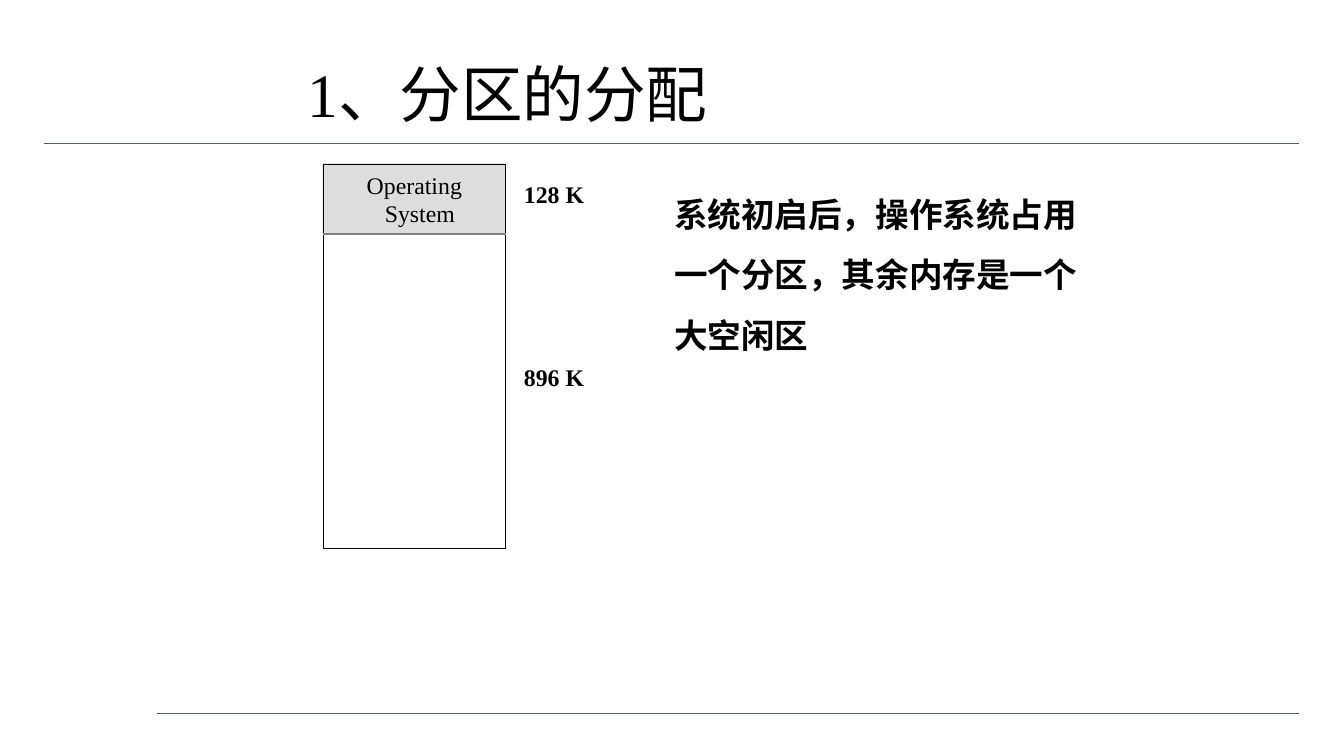
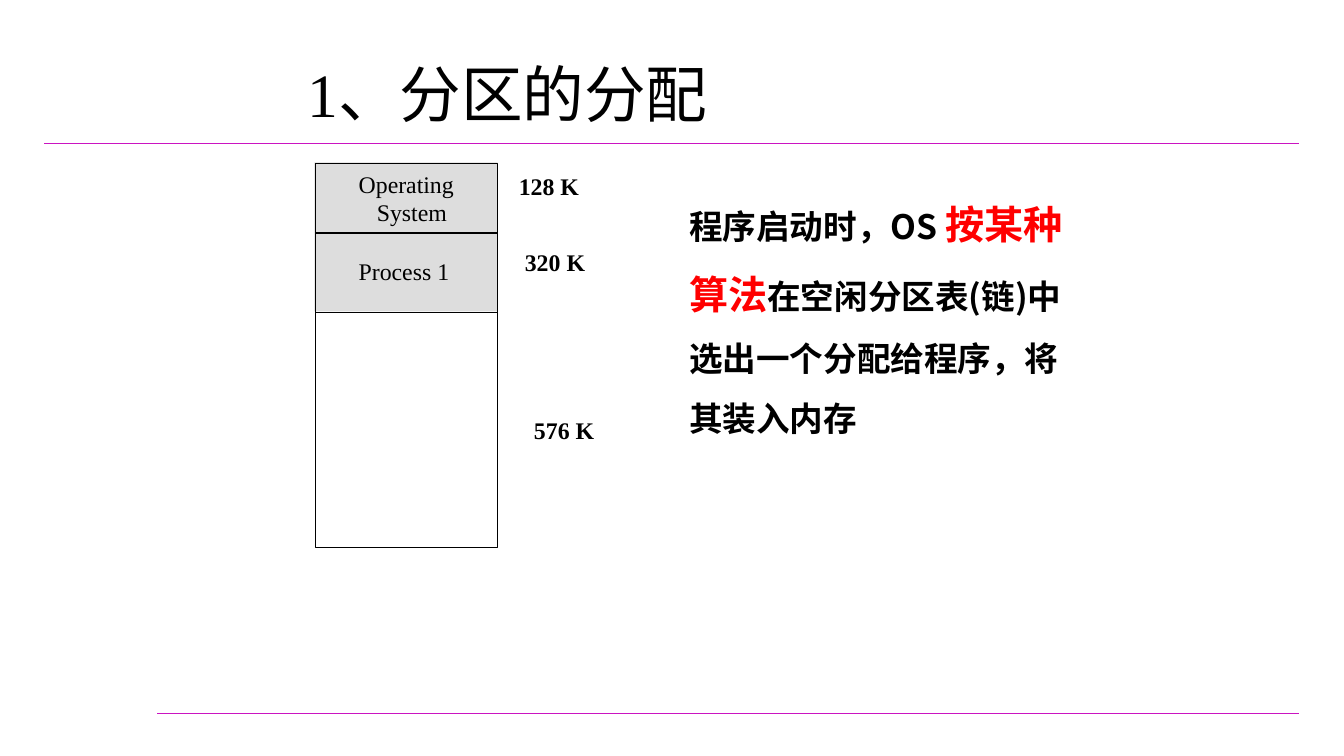
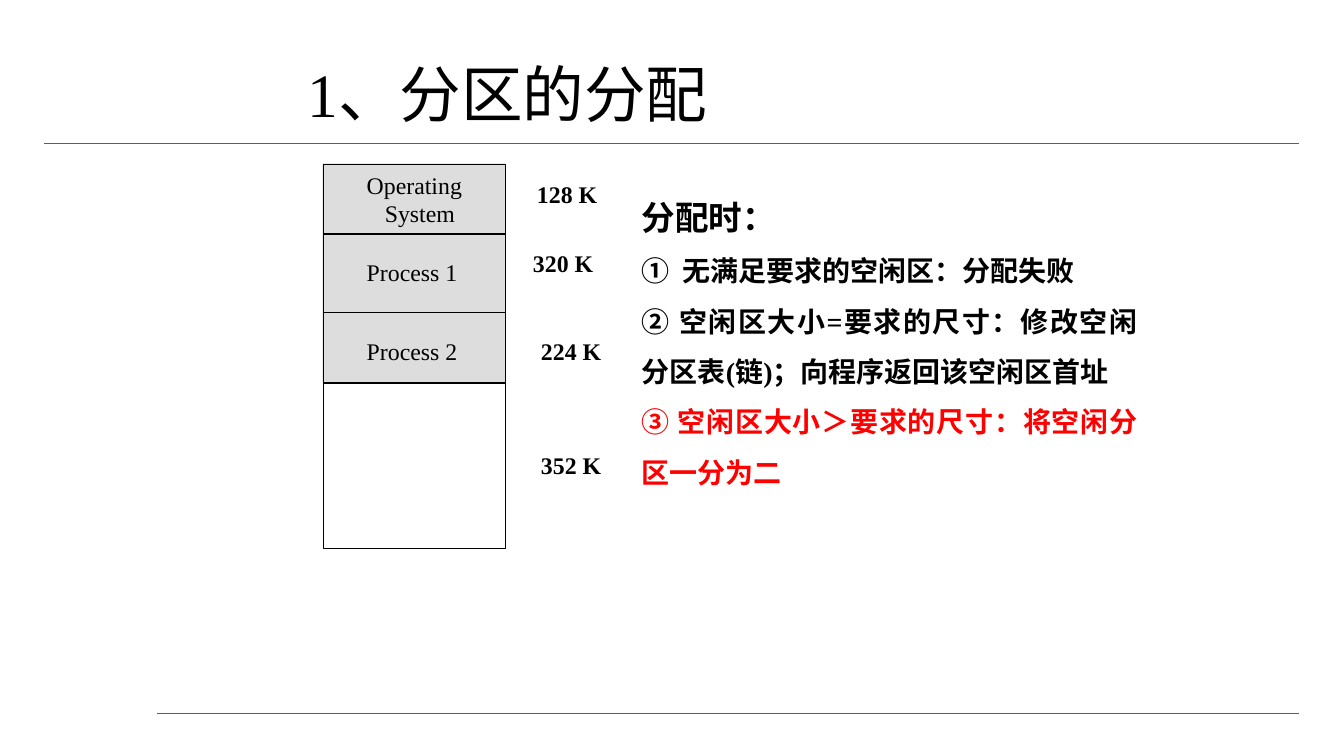
from lxml import etree
from pptx import Presentation
from pptx import util as u
from pptx.dml.color import RGBColor
from pptx.enum import shapes, text
from pptx.oxml.ns import qn

PX = 9144  # 100 px to the inch
BLACK, RED, GRAY, LIGHT, MAGENTA = "000000", "FF0000", "808080", "DDDDDD", "CA14C1"
SERIF, SANS = "Times New Roman", "Noto Sans CJK SC"
TITLE, TITLE_BOX = "1、分区的分配", (295, 50, 850, 117)
RULES = [(156, 708), (44, 142)]  # left end and height of each rule
RULE_RIGHT = 1289
COLUMN_WIDTH, COLUMN_HEIGHT = 181, 381


def add_run(paragraph, words, size, font=SERIF, color=BLACK, bold=False):
    run = paragraph.add_run()
    run.text = words
    run.font.size = u.Pt(size)
    run.font.bold = bold
    run.font.color.rgb = RGBColor.from_string(color)
    run.font.name = font
    etree.SubElement(run.font._element, qn("a:ea")).set("typeface", SANS)


def add_line(parent, x1, y1, x2, y2, color, width):
    line = parent.add_connector(shapes.MSO_CONNECTOR.STRAIGHT,
                                x1 * PX, y1 * PX, x2 * PX, y2 * PX)
    line.line.color.rgb = RGBColor.from_string(color)
    line.line.width = u.Pt(width)
    etree.SubElement(line.element.spPr, qn("a:effectLst"))


# Block labels: words, offset from the column's corner, width
system_labels = [("Operating", 43, 6, 98), ("System", 61, 34, 73)]
process_1 = ("Process 1", 43, 93, 94)
process_2 = ("Process 2", 43, 171, 94)

# Explanations: paragraphs of runs (words, size, font, colour)
pages = [
    dict(column=(321, 163), dividers=[69], divider_color=GRAY,
         blocks=system_labels,
         sizes=[("128", 520, 178), ("896", 520, 360)],
         body=(659, 167, 449, 190), align=text.PP_ALIGN.LEFT,
         paragraphs=[[("系统初启后，操作系统占用一个分区，其余内存是一个大空闲区", 24, SANS, BLACK)]]),
    dict(column=(313, 162), dividers=[69, 148], divider_color=BLACK,
         blocks=system_labels + [process_1],
         sizes=[("128", 515, 170), ("320", 521, 246), ("576", 530, 412)],
         body=(674, 170, 410, 270), align=text.PP_ALIGN.LEFT,
         paragraphs=[[("程序启动时，OS ", 24, SANS, BLACK),
                      ("按某种算法", 28, SANS, RED),
                      ("在空闲分区表(链)中选出一个分配给程序，将其装入内存", 24, SANS, BLACK)]]),
    dict(column=(321, 163), dividers=[69, 147, 217], divider_color=BLACK,
         blocks=system_labels + [process_1, process_2],
         sizes=[("128", 533, 178), ("320", 529, 247), ("224", 537, 334), ("352", 537, 447)],
         body=(627, 170, 512, 320), align=text.PP_ALIGN.JUSTIFY,
         paragraphs=[[("分配时：", 24, SERIF, BLACK)],
                     [("①  无满足要求的空闲区：分配失败", 20, SERIF, BLACK)],
                     [("② 空闲区大小=要求的尺寸：修改空闲分区表(链)；向程序返回该空闲区首址",
                       20, SERIF, BLACK)],
                     [("③ 空闲区大小＞要求的尺寸：将空闲分区一分为二", 20, SERIF, RED)]]),
]

presentation = Presentation()
presentation.slide_width, presentation.slide_height = 1334 * PX, 750 * PX

for page in pages:
    slide = presentation.slides.add_slide(presentation.slide_layouts[1])

    # Rules under the title and at the foot
    for rule_left, y in RULES:
        add_line(slide.shapes, rule_left, y, RULE_RIGHT, y, MAGENTA, 0.75)

    # Title and explanation
    title, body = slide.shapes.title, slide.placeholders[1]
    for shape, box in [(title, TITLE_BOX), (body, page["body"])]:
        shape.left, shape.top, shape.width, shape.height = [n * PX for n in box]
        shape.text_frame.word_wrap = True
        shape.text_frame.auto_size = text.MSO_AUTO_SIZE.NONE
        shape.text_frame.vertical_anchor = text.MSO_ANCHOR.TOP
    paragraph = title.text_frame.paragraphs[0]
    paragraph.alignment = text.PP_ALIGN.LEFT
    add_run(paragraph, TITLE, 44)
    for index, runs in enumerate(page["paragraphs"]):
        frame = body.text_frame
        paragraph = frame.add_paragraph() if index else frame.paragraphs[0]
        paragraph.alignment = page["align"]
        paragraph.line_spacing = 1.5
        paragraph.space_before = u.Pt(0)
        properties = paragraph._p.get_or_add_pPr()
        properties.set("marL", "0")
        properties.set("indent", "0")
        etree.SubElement(properties, qn("a:buNone"))
        for words, size, font, color in runs:
            add_run(paragraph, words, size, font, color, bold=True)

    # Memory column: used part, outline, dividers
    left, top = page["column"]
    memory = slide.shapes.add_group_shape().shapes
    used = (left - 1, top - 1, COLUMN_WIDTH + 1, page["dividers"][-1])
    outline = (left, top, COLUMN_WIDTH, COLUMN_HEIGHT)
    for box, fill in [(used, LIGHT), (outline, None)]:
        rectangle = memory.add_shape(shapes.MSO_SHAPE.RECTANGLE, *[n * PX for n in box])
        rectangle.shadow.inherit = False
        if fill:
            rectangle.fill.solid()
            rectangle.fill.fore_color.rgb = RGBColor.from_string(fill)
            rectangle.line.fill.background()
        else:
            rectangle.fill.background()
            rectangle.line.color.rgb = RGBColor.from_string(BLACK)
            rectangle.line.width = u.Pt(1)
    for offset in page["dividers"]:
        add_line(memory, left, top + offset, left + COLUMN_WIDTH, top + offset,
                 page["divider_color"], 1)

    # Block names and partition sizes, each wide enough for one line
    labels = [(words, left + dx, top + dy, width, False)
              for words, dx, dy, width in page["blocks"]]
    labels += [(number + " K", x, y, 66, True) for number, x, y in page["sizes"]]
    for words, x, y, width, bold in labels:
        frame = memory.add_textbox(x * PX, y * PX, width * PX, 28 * PX).text_frame
        frame.margin_left = frame.margin_right = frame.margin_top = frame.margin_bottom = 0
        frame.word_wrap = True
        add_run(frame.paragraphs[0], words, 17, bold=bold)

presentation.save("out.pptx")
